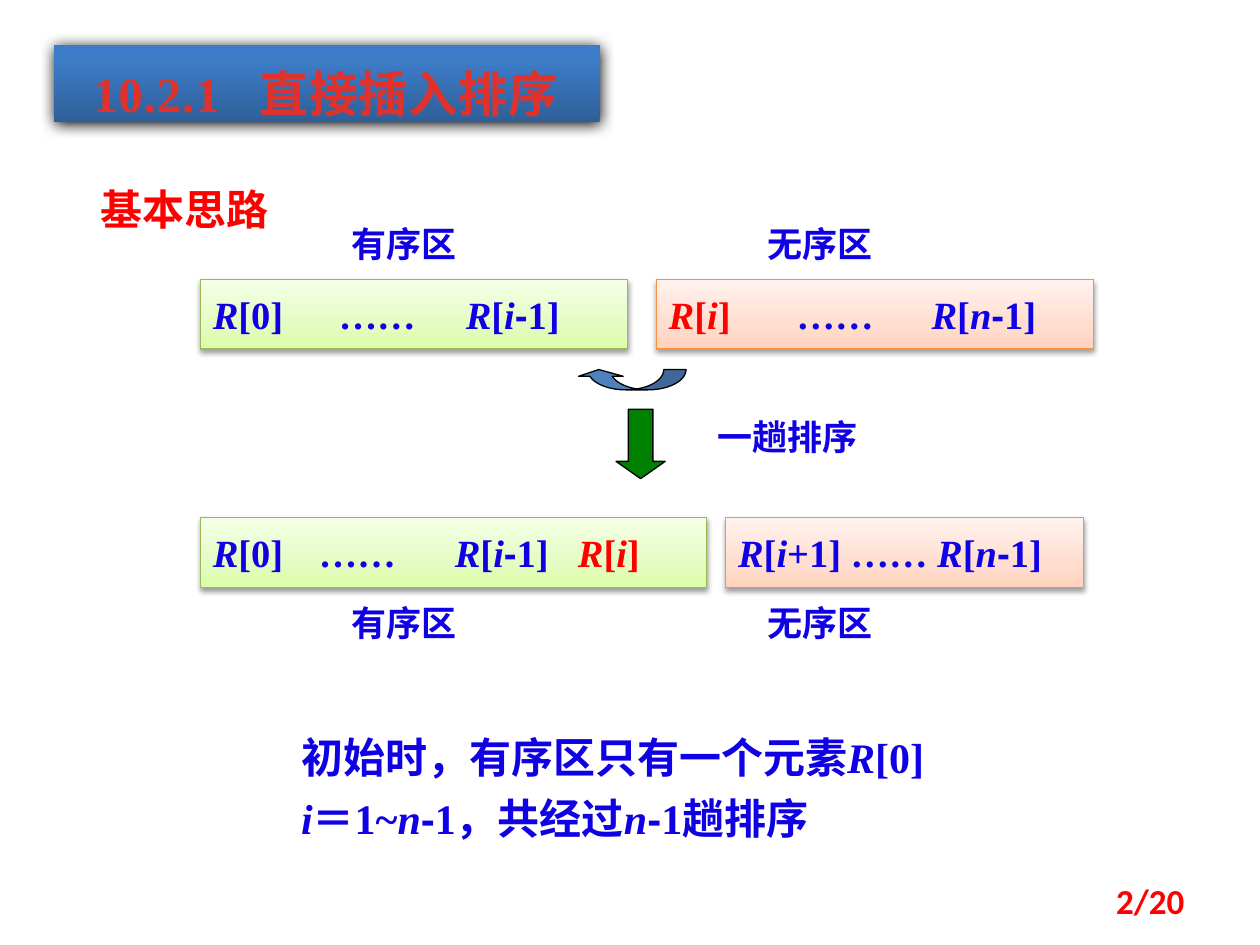
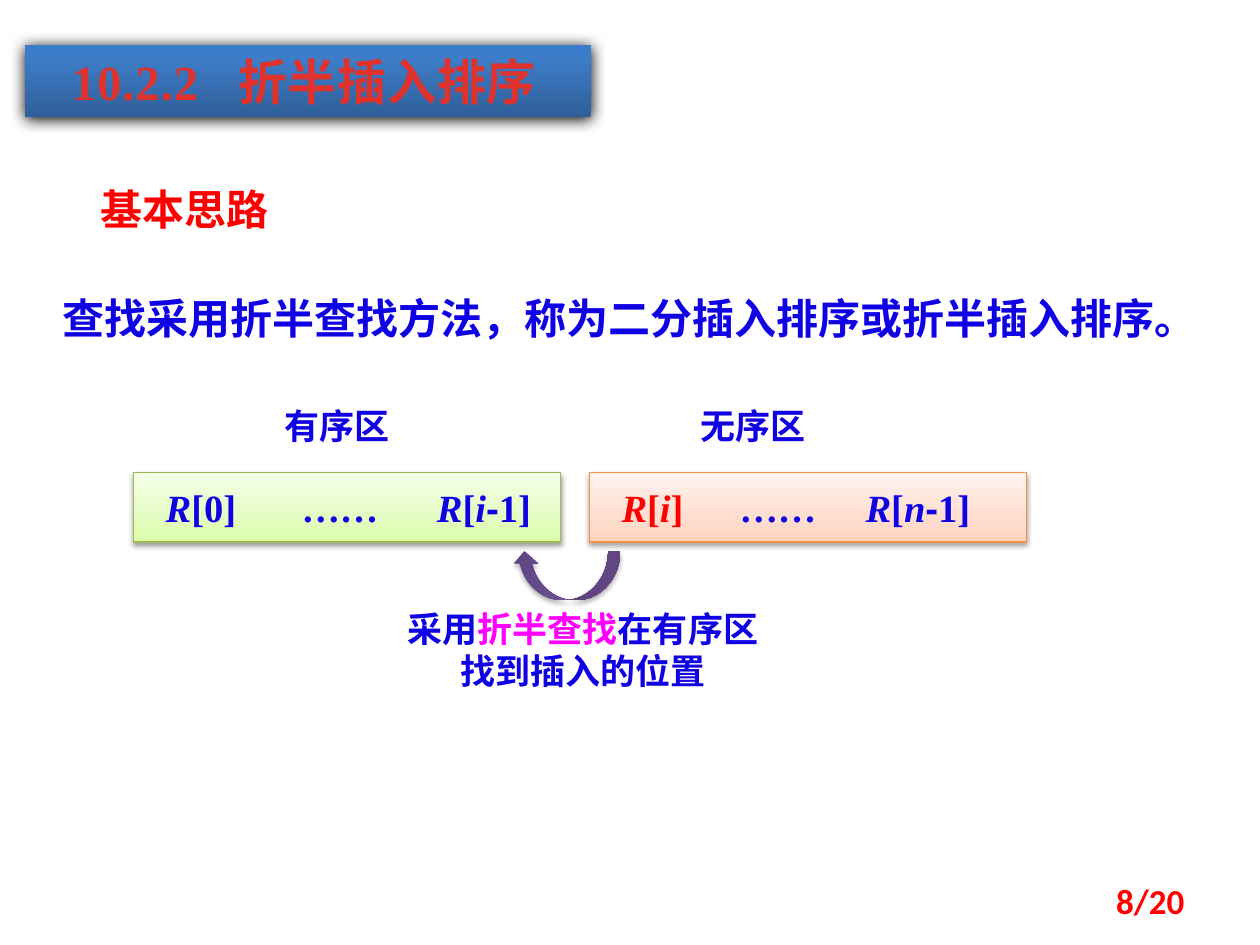
import copy
import itertools

import pptx
import pptx.dml.color
import pptx.enum.shapes
import pptx.enum.text
import pptx.oxml
import pptx.oxml.ns
import pptx.util
from pptx.util import Cm, Pt

COLOURS = {
    "text": "1000E4", "red": "FF0000", "pink": "FF00FF", "title": "E0322D",
    "black": "000000", "blue": "4F81BD", "green": "008000",
    "ordered_line": "98B955", "unordered_line": "F69240",
}
# Gradient stops, from bottom to top: (position, colour)
GRADIENTS = {
    "ordered": ((0, "DAFDA7"), (0.35, "E4FCC2"), (1, "F5FFE7")),
    "unordered": ((0, "FFD2BD"), (0.35, "FFDED0"), (1, "FFF2ED")),
    "title": ((0, "2F5F99"), (0.8, "3D7CC7"), (1, "3A7CCB")),
    "purple": ((0, "5F4480"), (0.8, "7B58A6"), (1, "7C57A8")),
}
SERIF, SANS, CHINESE, FOOTER = "Times New Roman", "Arial", "Noto Sans CJK SC", "Calibri"
SHAPES = pptx.enum.shapes.MSO_SHAPE
ALIGN = pptx.enum.text.PP_ALIGN
ANCHOR = pptx.enum.text.MSO_ANCHOR
DRAWING = 'xmlns:a="http://schemas.openxmlformats.org/drawingml/2006/main"'

# Rows of areas: offsets from the left edge of the row
LABEL_OFFSETS = (2.79, 11.18)
AREA_HEIGHT = 1.4


def colour(name):
    return pptx.dml.color.RGBColor.from_string(COLOURS[name])


# ---- Text ----

def char_style(char):
    """Variables are italic and the minus sign is sans serif."""
    return char in "Rin", char == "-"


def add_spans(para, spans, size, font=SERIF):
    """Add (text, colour name) pairs, splitting them where the style changes."""
    for text, colour_name in spans:
        for (italic, minus), chars in itertools.groupby(text, char_style):
            span = para.add_run()
            span.text = "".join(chars)
            span.font.size = Pt(size)
            span.font.bold = True
            span.font.italic = italic
            span.font.name = SANS if minus else font
            span.font.color.rgb = colour(colour_name)
            span.font._element.append(pptx.oxml.parse_xml(
                f'<a:ea {DRAWING} typeface="{CHINESE}"/>'))


def set_tabs(para, stops):
    tabs = "".join(f'<a:tab pos="{int(Cm(stop))}" algn="l"/>' for stop in stops)
    para._p.get_or_add_pPr().append(
        pptx.oxml.parse_xml(f"<a:tabLst {DRAWING}>{tabs}</a:tabLst>"))


def add_text(page, left, top, width, height, paragraphs, size,
             font=SERIF, align=ALIGN.LEFT, anchor=ANCHOR.TOP):
    box = page.shapes.add_textbox(Cm(left), Cm(top), Cm(width), Cm(height))
    frame = box.text_frame
    frame.word_wrap = True
    frame.vertical_anchor = anchor
    for index, spans in enumerate(paragraphs):
        para = frame.add_paragraph() if index else frame.paragraphs[0]
        para.alignment = align
        if index:
            para.space_before = Pt(6)
        add_spans(para, spans, size, font)


# ---- Shapes ----

def add_plain_shape(page, kind, left, top, width, height, line=None):
    shape = page.shapes.add_shape(kind, Cm(left), Cm(top), Cm(width), Cm(height))
    shape.shadow.inherit = False
    if line:
        shape.line.color.rgb = colour(line)
        shape.line.width = Pt(0.75)
    else:
        shape.line.fill.background()
    return shape


def fill_solid(shape, name):
    shape.fill.solid()
    shape.fill.fore_color.rgb = colour(name)


def fill_gradient(shape, name):
    shape.fill.gradient()
    shape.fill.gradient_angle = 90
    stop_list = shape._element.spPr.find(".//" + pptx.oxml.ns.qn("a:gsLst"))
    stop_list.append(copy.deepcopy(stop_list[0]))
    for stop, (position, value) in zip(shape.fill.gradient_stops, GRADIENTS[name]):
        stop.position = position
        stop.color.rgb = pptx.dml.color.RGBColor.from_string(value)


def add_shadow(shape, alpha, blur, distance):
    effects = shape._element.spPr.find(pptx.oxml.ns.qn("a:effectLst"))
    effects.append(pptx.oxml.parse_xml(
        f'<a:outerShdw {DRAWING} blurRad="{int(Pt(blur))}" dist="{int(Pt(distance))}" '
        f'dir="5400000" rotWithShape="0"><a:srgbClr val="{COLOURS["black"]}">'
        f'<a:alpha val="{alpha * 1000}"/></a:srgbClr></a:outerShdw>'))


def add_area(page, style, left, top, width, spans, stops):
    """A shaded stretch of the array, its records set on tab stops."""
    area = add_plain_shape(page, SHAPES.RECTANGLE, left, top, width, AREA_HEIGHT,
                           style + "_line")
    fill_gradient(area, style)
    add_shadow(area, 38, 3.1, 1.6)
    area.text_frame.word_wrap = True
    area.text_frame.vertical_anchor = ANCHOR.MIDDLE
    para = area.text_frame.paragraphs[0]
    para.alignment = ALIGN.LEFT
    set_tabs(para, stops)
    add_spans(para, spans, 22)


def add_area_labels(page, row_left, top):
    for text, offset in zip(("有序区", "无序区"), LABEL_OFFSETS):
        add_text(page, row_left + offset, top, 3.2, 1.12, [[(text, "text")]], 20)


# ---- Parts every page has ----

def add_page(deck, number, title, left, width, height, indent, line_spacing):
    page = deck.slides.add_slide(deck.slide_layouts[6])

    # Title band
    band = add_plain_shape(page, SHAPES.RECTANGLE, left, 0.91, width, height)
    fill_gradient(band, "title")
    add_shadow(band, 100, 8.5, 1)
    frame = band.text_frame
    frame.word_wrap = True
    frame.vertical_anchor = ANCHOR.TOP
    frame.margin_left = Cm(indent)
    para = frame.paragraphs[0]
    para.alignment = ALIGN.LEFT
    para.line_spacing = line_spacing
    set_tabs(para, [3.35])
    add_spans(para, [(title, "title")], 28)
    for span in para.runs:
        span.font._element.set("spc", "50")

    # Section heading and page number
    add_text(page, 1.78, 3.58, 4.57, 1.27, [[("基本思路", "red")]], 24)
    add_text(page, 18.21, 17.65, 5.92, 1.02, [[(f"{number}/20", "red")]], 20,
             FOOTER, ALIGN.RIGHT, ANCHOR.MIDDLE)
    return page


# ---- Pages ----

def build_direct_insertion(deck):
    page = add_page(deck, 2, "10.2.1\t直接插入排序", 1.09, 11, 1.55, 0.79, 1.2)
    row_left = 4.04

    # Before the pass
    add_area_labels(page, row_left, 4.37)
    add_area(page, "ordered", row_left, 5.64, 8.61,
             [("R[0]\t……\tR[i-1]", "text")], (2.54, 5.1))
    add_area(page, "unordered", row_left + 9.19, 5.64, 8.81,
             [("R[i]", "red"), ("\t……\tR[n-1]", "text")], (2.58, 5.3))

    # One pass
    move = add_plain_shape(page, SHAPES.CURVED_LEFT_ARROW, 12.52, 6.55, 0.41, 2.21, "black")
    move.rotation = 90
    for index, value in enumerate((1.097, 2.193, 0.333)):
        move.adjustments[index] = value
    fill_solid(move, "blue")
    step = add_plain_shape(page, SHAPES.DOWN_ARROW, 12.42, 8.25, 0.99, 1.4, "black")
    step.adjustments[1] = 0.351
    fill_solid(step, "green")
    add_text(page, 14.22, 8.25, 5.21, 1.12, [[("一趟排序", "text")]], 20)

    # After the pass
    add_area(page, "ordered", row_left, 10.44, 10.21,
             [("R[0]\t……\tR[i-1]\t", "text"), ("R[i]", "red")], (2.14, 4.88, 7.36))
    add_area(page, "unordered", row_left + 10.59, 10.44, 7.21,
             [("R[i+1] …… R[n-1]", "text")], ())
    add_area_labels(page, row_left, 12.01)

    # Conclusion
    add_text(page, 5.82, 14.63, 13.79, 2.82,
             [[("初始时，有序区只有一个元素R[0]", "text")],
              [("i＝1~n-1，共经过n-1趟排序", "text")]], 24)


def build_binary_insertion(deck):
    page = add_page(deck, 8, "10.2.2\t折半插入排序", 0.51, 11.4, 1.45, 0.94, 1)
    row_left = 2.69

    # Idea
    add_text(page, 1.02, 5.77, 23.01, 1.27,
             [[("查找采用折半查找方法，称为二分插入排序或折半插入排序。", "text")]], 24)

    # Ordered and unordered areas
    add_area_labels(page, row_left, 8.03)
    add_area(page, "ordered", row_left, 9.53, 8.61,
             [("\tR[0]\t……\tR[i-1]", "text")], (0.4, 3.14, 5.87))
    add_area(page, "unordered", row_left + 9.19, 9.53, 8.81,
             [("\tR[i]", "red"), ("\t……\tR[n-1]", "text")], (0.4, 2.78, 5.32))

    # Search for the insertion place
    add_text(page, 7.75, 12.12, 8, 1.96,
             [[("采用", "text"), ("折半查找", "pink"),
               ("在有序区找到插入的位置", "text")]], 20, align=ALIGN.CENTER)
    move = add_plain_shape(page, SHAPES.CURVED_LEFT_ARROW, 10.92, 10.52, 0.99, 2.18)
    move.rotation = 90
    fill_gradient(move, "purple")
    add_shadow(move, 35, 3.1, 1.8)


def main():
    deck = pptx.Presentation()
    deck.slide_width, deck.slide_height = Cm(25.4), Cm(19.05)
    build_direct_insertion(deck)
    build_binary_insertion(deck)
    deck.save("out.pptx")


if __name__ == "__main__":
    main()
